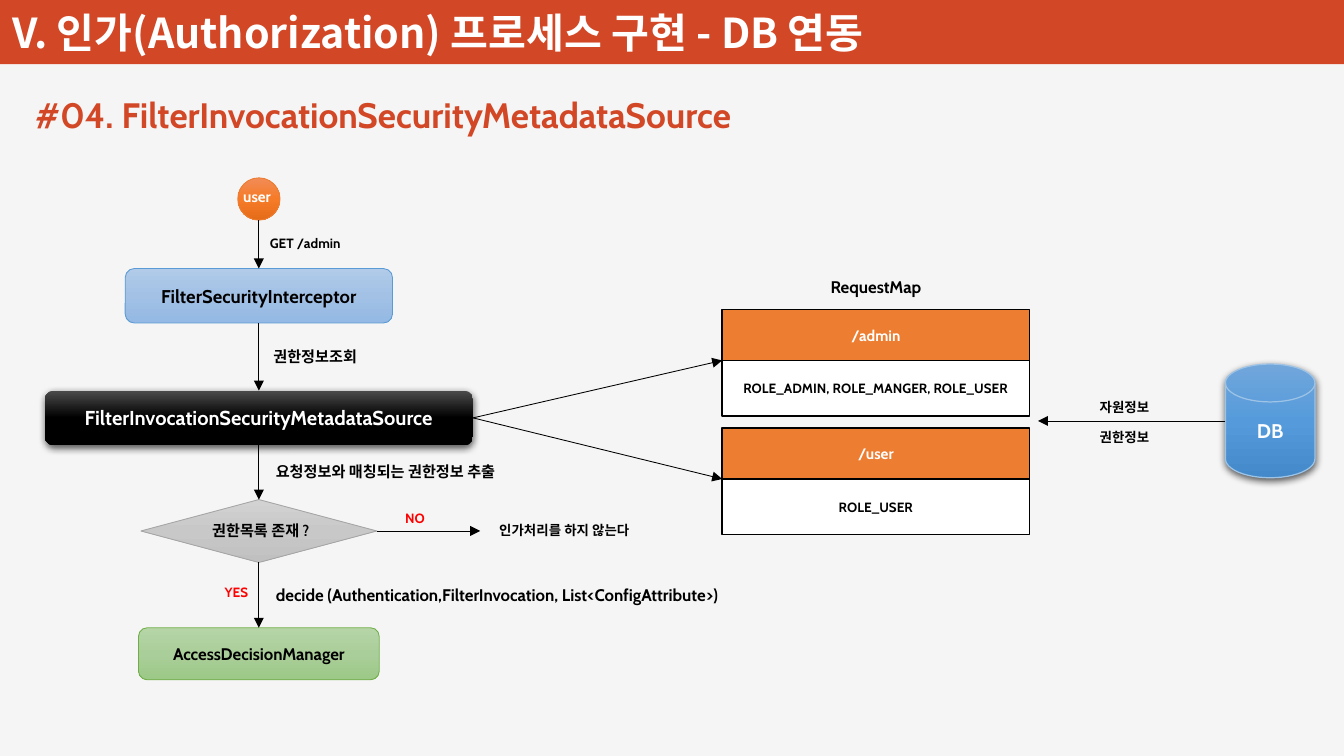
"""Build the slide on authorization backed by a database."""
from copy import deepcopy

from lxml.etree import SubElement
from pptx import Presentation
from pptx.dml.color import RGBColor
from pptx.enum.shapes import MSO_CONNECTOR as LINK, MSO_SHAPE as SHAPE
from pptx.enum.text import MSO_ANCHOR as ANCHOR, MSO_AUTO_SIZE as FIT, PP_ALIGN as ALIGN
from pptx.oxml.ns import qn
from pptx.util import Inches, Pt

WIDTH, HEIGHT = 11.11, 6.25
AXIS = 2.14
LATIN, KOREAN = "Cabin", "Noto Sans CJK KR"
COLORS = {
    "page": "F5F5F5", "brand": "D24726", "white": "FFFFFF", "black": "000000",
    "red": "FF0000", "orange": "ED7D31", "blue": "5B9BD5", "sky": "9DC3E6",
    "gray": "A5A5A5", "green": "70AD47",
}
GRADIENTS = {
    "user": ("F18C57", "F67B28", "E56C19"),
    "interceptor": ("B1CBE9", "A3C1E5", "93B9E4"),
    "source": ("4B4B4B", "000000", "000000"),
    "decision": ("D2D2D2", "C8C8C8", "C0C0C0"),
    "manager": ("B5D5A7", "AACE9A", "9CC987"),
    "db": ("71A6DB", "559BDB", "448ACA"),
}
TITLE = "V. 인가(Authorization) 프로세스 구현 - DB 연동"
HEADING = "#04. FilterInvocationSecurityMetadataSource"

# step: preset, top, width, height, outline, text, size, text colour
FLOW = {
    "user": (SHAPE.OVAL, 1.47, 0.35, 0.35, "orange", "", 9, "white"),
    "interceptor": (SHAPE.ROUNDED_RECTANGLE, 2.22, 2.21, 0.45, "blue",
                    "FilterSecurityInterceptor", 11, "black"),
    "source": (SHAPE.ROUNDED_RECTANGLE, 3.23, 3.54, 0.45, None,
               "FilterInvocationSecurityMetadataSource", 12, "white"),
    "decision": (SHAPE.DIAMOND, 4.13, 1.95, 0.52, "gray", "", 9, "black"),
    "manager": (SHAPE.ROUNDED_RECTANGLE, 5.19, 1.99, 0.43, "green",
                "AccessDecisionManager", 10, "black"),
}
REQUEST_MAP = [("/admin", "ROLE_ADMIN, ROLE_MANGER, ROLE_USER"), ("/user", "ROLE_USER")]
MAP_LEFT, MAP_TOP, MAP_WIDTH, MAP_STEP = 5.97, 2.56, 2.54, 0.98
URL_HEIGHT, ROLE_HEIGHT = 0.42, 0.46
DB_LEFT, DB_TOP, DB_WIDTH, DB_HEIGHT = 10.13, 3.01, 0.74, 0.94

# text, left, top, width, height, size, colour, alignment
LABELS = [
    (HEADING, 0.2, 0.73, 6.44, 0.45, 21, "brand", ALIGN.LEFT),
    ("user", 1.92, 1.51, 0.45, 0.25, 9, "white", ALIGN.LEFT),
    ("GET /admin", 2.14, 1.9, 0.82, 0.24, 8, "black", ALIGN.LEFT),
    ("권한정보조회", 2.17, 2.83, 0.96, 0.25, 9, "black", ALIGN.LEFT),
    ("요청정보와 매칭되는 권한정보 추출", 2.19, 3.78, 2.2, 0.25, 9, "black", ALIGN.LEFT),
    ("권한목록 존재 ?", 1.61, 4.27, 1.09, 0.25, 9, "black", ALIGN.CENTER),
    ("NO", 3.24, 4.18, 0.38, 0.24, 8, "red", ALIGN.CENTER),
    ("인가처리를 하지 않는다", 3.97, 4.28, 1.39, 0.24, 8, "black", ALIGN.CENTER),
    ("YES", 1.76, 4.79, 0.39, 0.24, 8, "red", ALIGN.CENTER),
    ("decide (Authentication,FilterInvocation, List<ConfigAttribute>)",
     2.19, 4.79, 4.51, 0.27, 10, "black", ALIGN.LEFT),
    ("RequestMap", 6.57, 2.25, 1.34, 0.27, 10, "black", ALIGN.CENTER),
    ("자원정보", 9, 3.26, 0.65, 0.24, 8, "black", ALIGN.LEFT),
    ("권한정보", 9, 3.51, 0.65, 0.24, 8, "black", ALIGN.LEFT),
]


def rgb(name):
    return RGBColor.from_string(COLORS.get(name, name))


def write(part, text, size, color, align=ALIGN.CENTER, face=LATIN, **frame_format):
    frame = part.text_frame
    settings = {"margin_left": Inches(0.09), "margin_right": Inches(0.09),
                "margin_top": Inches(0.04), "margin_bottom": Inches(0.04),
                "vertical_anchor": ANCHOR.MIDDLE, "word_wrap": True, **frame_format}
    for key, value in settings.items():
        setattr(frame, key, value)
    paragraph = frame.paragraphs[0]
    paragraph.alignment = align
    run = paragraph.add_run()
    run.text = text
    for key, value in {"size": Pt(size), "bold": True, "name": face}.items():
        setattr(run.font, key, value)
    run.font.color.rgb = rgb(color)
    SubElement(run.font._element, qn("a:ea"), typeface=KOREAN)


def paint_gradient(part, colors):
    part.fill.gradient()
    part.fill.gradient_angle = 270
    stops = part._element.spPr.find(qn("a:gradFill")).find(qn("a:gsLst"))
    stops.append(deepcopy(stops[0]))
    for index, (stop, color) in enumerate(zip(part.fill.gradient_stops, colors)):
        stop.position = index / 2
        stop.color.rgb = rgb(color)


def add_part(slide, preset, box, fill, outline=None, weight=0.5):
    part = slide.shapes.add_shape(preset, *map(Inches, box))
    part.shadow.inherit = False
    if fill in GRADIENTS:
        paint_gradient(part, GRADIENTS[fill])
    else:
        part.fill.solid()
        part.fill.fore_color.rgb = rgb(fill)
    if outline:
        part.line.color.rgb = rgb(outline)
        part.line.width = Pt(weight)
    else:
        part.line.fill.background()
    return part


def cast_shadow(part):
    effects = part._element.spPr.find(qn("a:effectLst"))
    shadow = SubElement(effects, qn("a:outerShdw"), blurRad=str(Pt(4.5)),
                        dist=str(Pt(1.5)), dir="5400000", algn="ctr", rotWithShape="0")
    black = SubElement(shadow, qn("a:srgbClr"), val=COLORS["black"])
    SubElement(black, qn("a:alpha"), val="63000")


def add_arrow(slide, start, end):
    arrow = slide.shapes.add_connector(LINK.STRAIGHT, *map(Inches, (*start, *end)))
    arrow.line.color.rgb = rgb("black")
    arrow.line.width = Pt(0.5)
    SubElement(arrow.line._get_or_add_ln(), qn("a:tailEnd"), type="triangle")
    SubElement(arrow._element.spPr, qn("a:effectLst"))


def add_label(slide, text, left, top, width, height, size, color, align):
    label = slide.shapes.add_textbox(*map(Inches, (left, top, width, height)))
    write(label, text, size, color, align, word_wrap=False,
          auto_size=FIT.SHAPE_TO_FIT_TEXT, vertical_anchor=ANCHOR.TOP)


def add_banner(slide):
    add_part(slide, SHAPE.RECTANGLE, (0, 0, WIDTH, 0.53), "brand")
    title = slide.shapes.add_textbox(*map(Inches, (0.01, -0.1, 8, 0.61)))
    write(title, TITLE, 24.5, "white", ALIGN.LEFT, KOREAN, vertical_anchor=ANCHOR.BOTTOM)


def add_flow(slide):
    previous_bottom = None
    for step, (preset, top, width, height, outline, text, size, color) in FLOW.items():
        part = add_part(slide, preset, (AXIS - width / 2, top, width, height), step, outline)
        if text:
            write(part, text, size, color)
        if step == "source":
            cast_shadow(part)
        if previous_bottom:
            add_arrow(slide, (AXIS, previous_bottom), (AXIS, top))
        previous_bottom = top + height
    _, top, width, height, *_ = FLOW["decision"]
    middle = top + height / 2
    add_arrow(slide, (AXIS + width / 2, middle), (3.97, middle))


def add_request_map(slide):
    _, top, width, height, *_ = FLOW["source"]
    source_edge = (AXIS + width / 2, top + height / 2)
    for index, (url, roles) in enumerate(REQUEST_MAP):
        url_top = MAP_TOP + index * MAP_STEP
        role_top = url_top + URL_HEIGHT
        rows = [(SHAPE.RECTANGLE, url_top, URL_HEIGHT, "orange", url, 9, "white"),
                (SHAPE.FLOWCHART_PROCESS, role_top, ROLE_HEIGHT, "white", roles, 8, "black")]
        for preset, row_top, row_height, fill, text, size, color in rows:
            row = add_part(slide, preset, (MAP_LEFT, row_top, MAP_WIDTH, row_height),
                           fill, "black", 1)
            write(row, text, size, color)
        add_arrow(slide, source_edge, (MAP_LEFT, role_top))


def add_database(slide):
    database = add_part(slide, SHAPE.FLOWCHART_MAGNETIC_DISK,
                        (DB_LEFT, DB_TOP, DB_WIDTH, DB_HEIGHT), "db", "sky", 0.75)
    write(database, "DB", 11.8, "white")
    cast_shadow(database)
    middle = DB_TOP + DB_HEIGHT / 2
    add_arrow(slide, (DB_LEFT, middle), (8.58, middle))


def main():
    deck = Presentation()
    deck.slide_width, deck.slide_height = Inches(WIDTH), Inches(HEIGHT)
    slide = deck.slides.add_slide(deck.slide_layouts[6])
    slide.background.fill.solid()
    slide.background.fill.fore_color.rgb = rgb("page")
    for add_section in (add_banner, add_flow, add_request_map, add_database):
        add_section(slide)
    for label in LABELS:
        add_label(slide, *label)
    deck.save("out.pptx")


if __name__ == "__main__":
    main()
